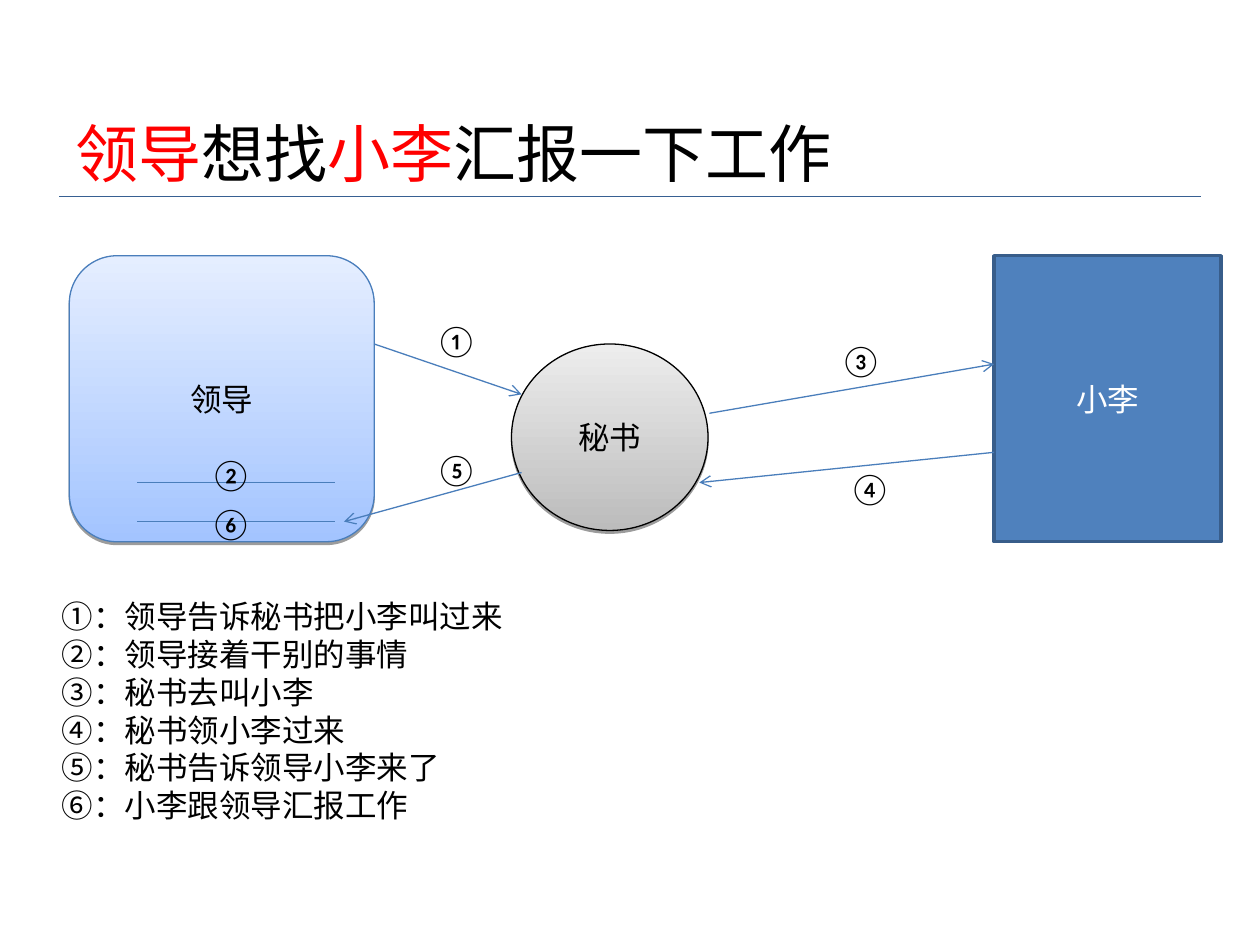
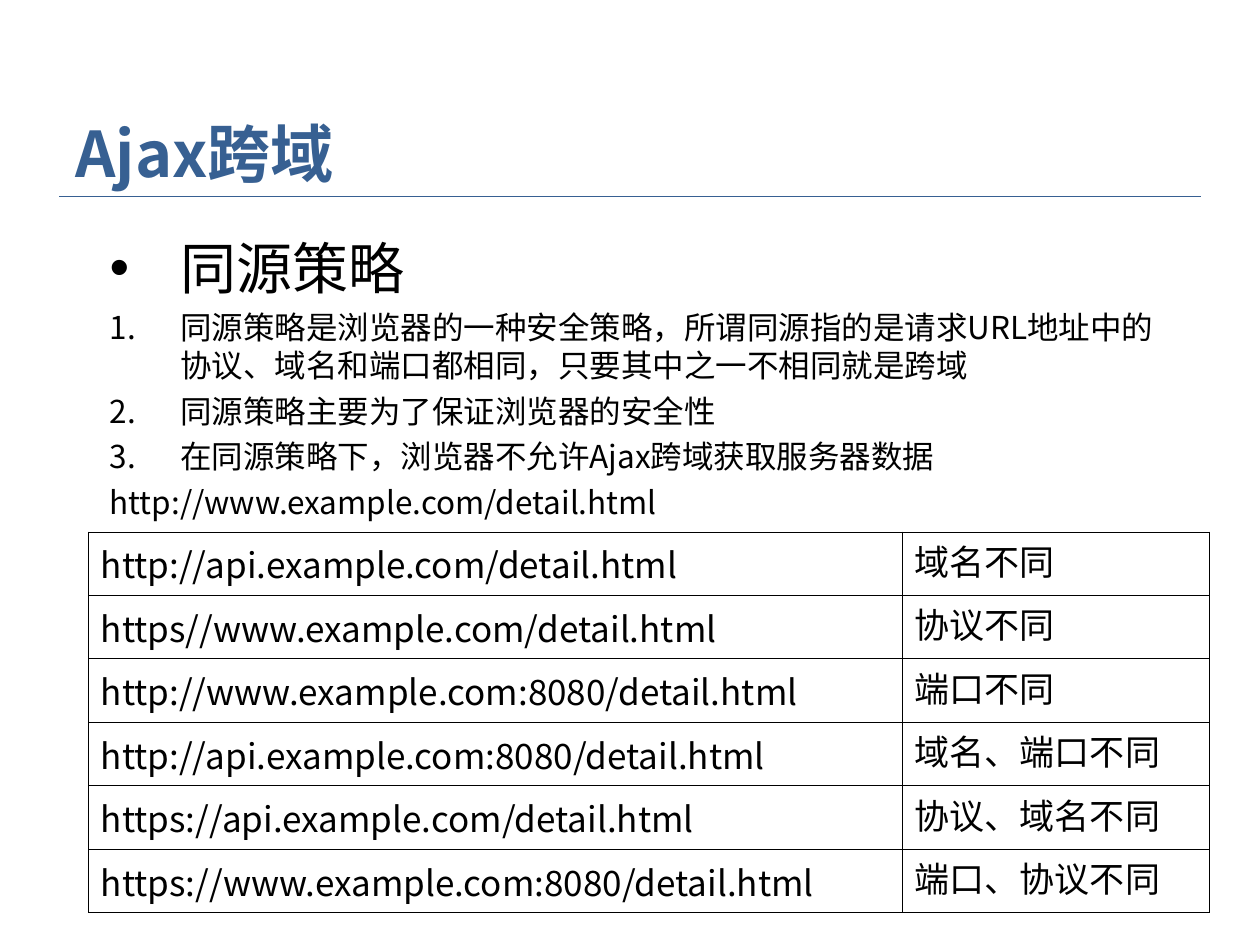
from lxml import etree
from pptx import Presentation
from pptx.dml.color import RGBColor
from pptx.enum.shapes import MSO_CONNECTOR, MSO_SHAPE
from pptx.enum.text import MSO_ANCHOR, MSO_AUTO_SIZE, PP_ALIGN
from pptx.oxml.ns import qn
from pptx.util import Pt

STRAIGHT = MSO_CONNECTOR.STRAIGHT
ROUNDED, RECTANGLE, OVAL = MSO_SHAPE.ROUNDED_RECTANGLE, MSO_SHAPE.RECTANGLE, MSO_SHAPE.OVAL
MIDDLE, TOP = MSO_ANCHOR.MIDDLE, MSO_ANCHOR.TOP
NO_AUTOFIT = MSO_AUTO_SIZE.NONE
LEFT, CENTER = PP_ALIGN.LEFT, PP_ALIGN.CENTER

EMU_PER_PX = 9144
LATIN, CJK = "Calibri", "Noto Sans CJK SC"
COLORS = {
    "black": "000000", "white": "FFFFFF", "red": "FF0000", "heading": "376092",
    "flow": "4A7EBB", "blue": "4F81BD", "blue_edge": "385D8A",
    "leader_dark": "A3C4FF", "leader_light": "E5EEFF",
    "secretary_dark": "BCBCBC", "secretary_light": "EDEDED",
}
TITLE_BOX = (50, 86, 900, 70)
RULE_ENDS = (47, 156, 953, 156)

STEPS = [
    "①：领导告诉秘书把小李叫过来",
    "②：领导接着干别的事情",
    "③：秘书去叫小李",
    "④：秘书领小李过来",
    "⑤：秘书告诉领导小李来了",
    "⑥：小李跟领导汇报工作",
]
POLICY = [
    "同源策略",
    "同源策略是浏览器的一种安全策略，所谓同源指的是请求URL地址中的协议、域名和端口都相同，只要其中之一不相同就是跨域",
    "同源策略主要为了保证浏览器的安全性",
    "在同源策略下，浏览器不允许Ajax跨域获取服务器数据",
    "http://www.example.com/detail.html",
]
URL_DIFFERENCES = [
    ("http://api.example.com/detail.html", "域名不同"),
    ("https//www.example.com/detail.html", "协议不同"),
    ("http://www.example.com:8080/detail.html", "端口不同"),
    ("http://api.example.com:8080/detail.html", "域名、端口不同"),
    ("https://api.example.com/detail.html", "协议、域名不同"),
    ("https://www.example.com:8080/detail.html", "端口、协议不同"),
]


def px(*lengths):
    """Turn px lengths into EMU."""
    return [length * EMU_PER_PX for length in lengths]


def rgb(name):
    """Look up a named colour."""
    return RGBColor.from_string(COLORS[name])


def add_xml(parent, tag, **attributes):
    """Append an element with the given attributes."""
    return etree.SubElement(parent, qn(tag), attributes)


def format_runs(paragraph, size, font=CJK, color="black", bold=False):
    """Format every run of a paragraph."""
    for run in paragraph.runs:
        run.font.size = Pt(size)
        run.font.name = font
        run.font.bold = bold
        run.font.color.rgb = rgb(color)
        add_xml(run.font._element, "a:ea", typeface=font)


def move(shape, box):
    """Place a shape in a px box."""
    shape.left, shape.top, shape.width, shape.height = px(*box)


def add_line(slide, ends, color, arrow=False):
    """Draw a thin line, with an open arrowhead if asked."""
    line = slide.shapes.add_connector(STRAIGHT, *px(*ends))
    line.line.color.rgb = rgb(color)
    line.line.width = Pt(0.75)
    properties = line.element.spPr
    if arrow:
        add_xml(properties.find(qn("a:ln")), "a:tailEnd", type="arrow")
    add_xml(properties, "a:effectLst")


def add_header(slide, parts, font, bold=False):
    """Fill the title with coloured parts and underline it."""
    title = slide.shapes.title
    move(title, TITLE_BOX)
    frame = title.text_frame
    frame.auto_size = NO_AUTOFIT
    frame.vertical_anchor = MIDDLE
    paragraph = frame.paragraphs[0]
    paragraph.alignment = LEFT
    for text, color in parts:
        run = paragraph.add_run()
        run.text = text
    format_runs(paragraph, 36, font, bold=bold)
    for run, (text, color) in zip(paragraph.runs, parts):
        run.font.color.rgb = rgb(color)
    add_line(slide, RULE_ENDS, "heading")


def fill_body(slide, box, lines):
    """Put lines into the body placeholder and return its paragraphs."""
    body = slide.placeholders[1]
    move(body, box)
    frame = body.text_frame
    frame.text = "\n".join(lines)
    frame.auto_size = NO_AUTOFIT
    frame.vertical_anchor = TOP
    return frame.paragraphs


def set_indent(paragraph, left, first, bullet=None, **attributes):
    """Set the hanging indent and the bullet kind."""
    properties = paragraph._p.get_or_add_pPr()
    properties.set("marL", str(left * EMU_PER_PX))
    properties.set("indent", str(first * EMU_PER_PX))
    if bullet:
        add_xml(properties, bullet, **attributes)


def add_steps(slide, box):
    """List the numbered steps without bullets."""
    for paragraph in fill_body(slide, box, STEPS):
        paragraph.space_before = Pt(0)
        set_indent(paragraph, 0, 0, "a:buNone")
        format_runs(paragraph, 18)


def add_policy(slide, box):
    """List the policy heading, its numbered rules and the sample address."""
    heading, *rules, address = fill_body(slide, box, POLICY)
    heading.space_before = Pt(8)
    set_indent(heading, 86, -56)
    format_runs(heading, 32)
    for rule in rules:
        set_indent(rule, 86, -56, "a:buAutoNum", type="arabicPeriod")
    set_indent(address, 86, -56, "a:buNone")
    for paragraph in (*rules, address):
        paragraph.space_before = Pt(4.5)
        format_runs(paragraph, 18)


def add_person(slide, kind, box, name, edge, edge_width=0.75, text_color="black"):
    """Draw a labelled person and return the shape."""
    person = slide.shapes.add_shape(kind, *px(*box))
    person.shadow.inherit = False
    person.line.color.rgb = rgb(edge)
    person.line.width = Pt(edge_width)
    frame = person.text_frame
    frame.text = name
    frame.vertical_anchor = MIDDLE
    frame.paragraphs[0].alignment = CENTER
    format_runs(frame.paragraphs[0], 18, LATIN, text_color)
    return person


def shade(person, dark, light):
    """Give a person an upward gradient and a small shadow below."""
    person.fill.gradient()
    person.fill.gradient_angle = 90
    for stop, color, position in zip(person.fill.gradient_stops, (dark, light), (0, 1)):
        stop.color.rgb = rgb(color)
        stop.position = position
    effects = person.element.spPr.find(qn("a:effectLst"))
    shadow = add_xml(effects, "a:outerShdw", blurRad="0", dist=str(Pt(1.6)),
                     dir="5400000", rotWithShape="0")
    shadow_color = add_xml(shadow, "a:srgbClr", val=COLORS["black"])
    add_xml(shadow_color, "a:alpha", val="38000")


def add_flow(slide, left, top):
    """Draw the three people, the messages between them and the step marks."""
    leader = add_person(slide, ROUNDED, (left, top, 242, 227), "领导", "flow")
    shade(leader, "leader_dark", "leader_light")
    employee = add_person(slide, RECTANGLE, (left + 734, top, 180, 227), "小李",
                          "blue_edge", 2, "white")
    employee.fill.solid()
    employee.fill.fore_color.rgb = rgb("blue")
    secretary = add_person(slide, OVAL, (left + 351, top + 70, 156, 148), "秘书", "black")
    shade(secretary, "secretary_dark", "secretary_light")

    for y in (180, 211):
        add_line(slide, (left + 54, top + y, left + 211, top + y), "flow")
    messages = [(242, 70, 359, 110), (508, 125, 734, 86),
                (734, 156, 500, 180), (359, 172, 218, 211)]
    for x1, y1, x2, y2 in messages:
        add_line(slide, (left + x1, top + y1, left + x2, top + y2), "flow", arrow=True)

    marks = {"①": (281, 47), "②": (102, 153), "③": (602, 63),
             "④": (609, 164), "⑤": (281, 149), "⑥": (102, 192)}
    for mark, (x, y) in marks.items():
        label = slide.shapes.add_textbox(*px(left + x, top + y, 53, 40))
        label.text_frame.text = mark
        format_runs(label.text_frame.paragraphs[0], 18, LATIN)


def set_borders(cell, widths):
    """Give a cell black borders, with widths in points by side."""
    properties = cell._tc.get_or_add_tcPr()
    for position, (side, width) in enumerate(widths.items()):
        border = etree.Element(qn(f"a:ln{side}"), w=str(Pt(width)))
        add_xml(add_xml(border, "a:solidFill"), "a:srgbClr", val=COLORS["black"])
        properties.insert(position, border)


def add_url_table(slide, box):
    """Tabulate addresses and how each differs from the sample."""
    widths, heights = (646, 244), (44, 47, 47, 46, 47, 47)
    table = slide.shapes.add_table(len(heights), len(widths), *px(*box)).table
    table.first_row = table.horz_banding = False
    for column, width in zip(table.columns, px(*widths)):
        column.width = width
    for row, height, texts in zip(table.rows, px(*heights), URL_DIFFERENCES):
        row.height = height
        for cell, text, font in zip(row.cells, texts, (CJK, LATIN)):
            cell.text = text
            cell.vertical_anchor = MIDDLE
            cell.fill.solid()
            cell.fill.fore_color.rgb = rgb("white")
            paragraph = cell.text_frame.paragraphs[0]
            paragraph.space_before = Pt(5)
            format_runs(paragraph, 20, font)
        address, difference = row.cells
        set_borders(address, {"L": 0.23, "R": 0.45, "T": 0.23, "B": 0.23})
        set_borders(difference, {"L": 0.45, "R": 0.23, "T": 0.23, "B": 0.23})


def build_report_slide(slide):
    """Build the slide on the leader calling in an employee."""
    parts = [("领导", "red"), ("想找", "black"), ("小李", "red"), ("汇报一下工作", "black")]
    add_header(slide, parts, LATIN)
    add_flow(slide, 55, 203)
    add_steps(slide, (39, 469, 914, 190))


def build_origin_slide(slide):
    """Build the slide on the same-origin policy."""
    add_header(slide, [("Ajax跨域", "heading")], CJK, bold=True)
    add_policy(slide, (47, 180, 898, 239))
    add_url_table(slide, (70, 422, 890, 278))


def main():
    """Build and save the presentation."""
    presentation = Presentation()
    presentation.slide_width, presentation.slide_height = px(1000, 750)
    layout = presentation.slide_layouts[1]
    for build in (build_report_slide, build_origin_slide):
        build(presentation.slides.add_slide(layout))
    presentation.save("out.pptx")


if __name__ == "__main__":
    main()
